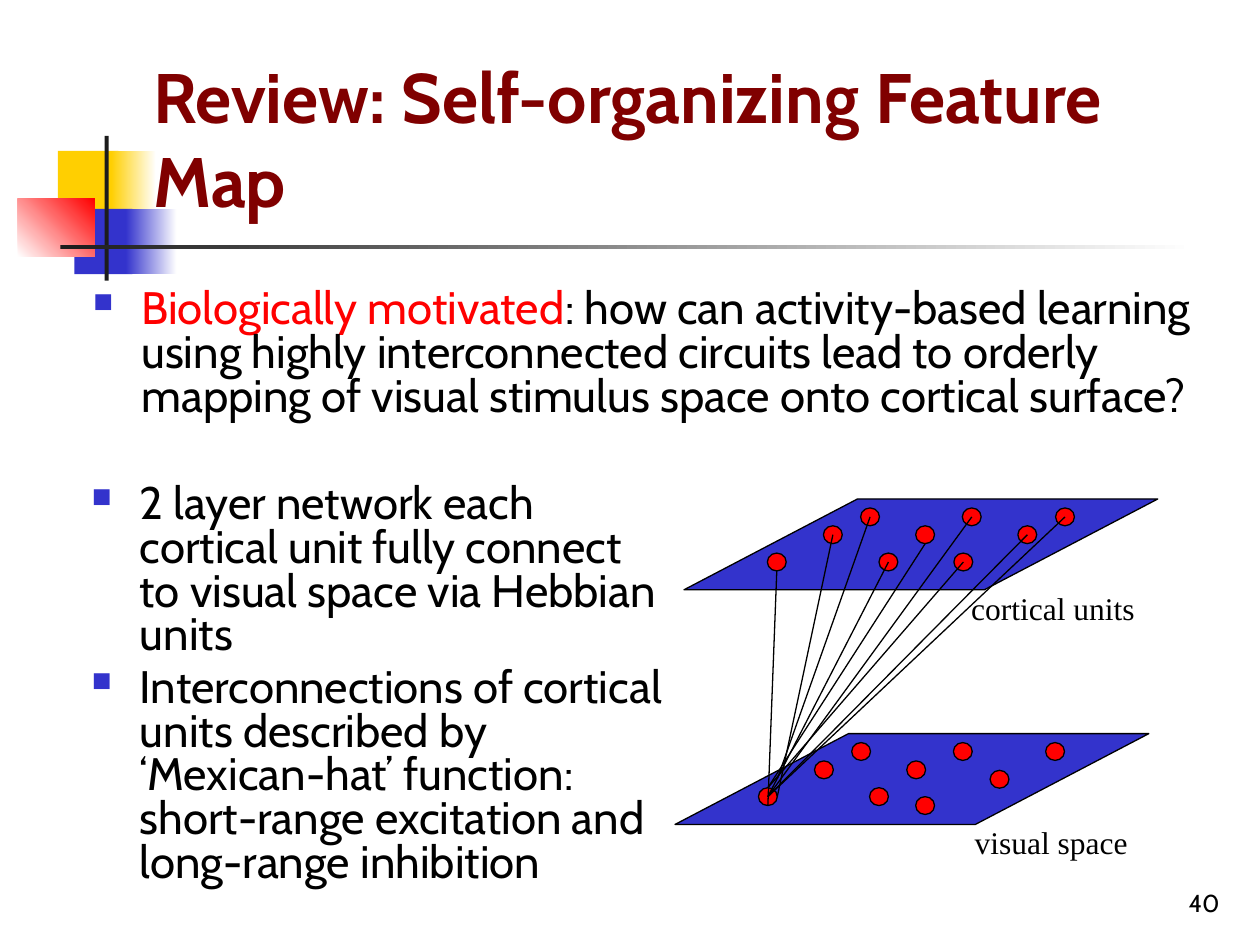
from lxml import etree
from pptx import Presentation
from pptx.dml.color import RGBColor
from pptx.enum.shapes import MSO_CONNECTOR, MSO_SHAPE
from pptx.enum.text import MSO_ANCHOR, PP_ALIGN
from pptx.oxml.ns import qn
from pptx.util import Cm, Pt

RECT, OVAL, PLANE = MSO_SHAPE.RECTANGLE, MSO_SHAPE.OVAL, MSO_SHAPE.PARALLELOGRAM
STRAIGHT = MSO_CONNECTOR.STRAIGHT
TOP, BOTTOM = MSO_ANCHOR.TOP, MSO_ANCHOR.BOTTOM
LEFT, RIGHT = PP_ALIGN.LEFT, PP_ALIGN.RIGHT
BLACK, WHITE, BLUE, RED = "000000", "FFFFFF", "3333CC", "FF0000"
YELLOW, DARK, MAROON = "FFCF01", "1C1C1C", "800000"
SANS, SERIF = "Cabin", "Times New Roman"
PLANE_W, PLANE_H = 9.55, 1.83
DOT_W, DOT_H = 0.38, 0.36
CORTICAL_DOTS = [(3.56, 0.18), (5.61, 0.18), (7.49, 0.18),
                 (2.81, 0.54), (4.67, 0.54), (6.73, 0.54),
                 (1.68, 1.09), (3.93, 1.09), (5.44, 1.09)]
VISUAL_DOTS = [(3.56, 0.18), (5.61, 0.18), (7.47, 0.18),
               (2.81, 0.55), (4.67, 0.55), (6.35, 0.74),
               (1.68, 1.09), (3.92, 1.09), (4.85, 1.27)]
SOURCE_DOT = 6
LINK_SHIFTS = [(0, 0.19, -0.36), (0, 0, 0), (0, 0, 0),
               (0, 0.19, 0), (0.18, 0, -0.18), (0, 0, 0),
               (0.18, 0, 0.18), (0, 0, 0), (0, 0, -0.18)]


def rgb(value):
    """Return the colour for a hex string."""
    return RGBColor.from_string(value)


def add_shape(shapes, kind, x, y, w, h, colours, angle=0, outline=None):
    """Add a shape with a solid fill, or a gradient when given two colours."""
    sp = shapes.add_shape(kind, Cm(x), Cm(y), Cm(w), Cm(h))
    sp.shadow.inherit = False
    if len(colours) == 1:
        sp.fill.solid()
        sp.fill.fore_color.rgb = rgb(colours[0])
    else:
        sp.fill.gradient()
        sp.fill.gradient_angle = angle
        for position, (stop, colour) in enumerate(zip(sp.fill.gradient_stops, colours)):
            stop.position = position
            stop.color.rgb = rgb(colour)
    if outline:
        sp.line.color.rgb = rgb(outline)
        sp.line.width = Pt(0.75)
    else:
        sp.line.fill.background()
    return sp


def add_run(p, text, size, colour, font=SANS, bold=False):
    """Append a formatted run to a paragraph."""
    r = p.add_run()
    r.text = text
    r.font.size, r.font.name, r.font.bold = Pt(size), font, bold
    r.font.color.rgb = rgb(colour)


def add_frame(s, x, y, w, h, anchor=TOP, wrap=True):
    """Add a text box and return its text frame."""
    tf = s.shapes.add_textbox(Cm(x), Cm(y), Cm(w), Cm(h)).text_frame
    tf.word_wrap = wrap
    tf.vertical_anchor = anchor
    return tf


def add_label(s, x, y, w, h, text, size, colour, font=SANS, bold=False,
              anchor=TOP, align=LEFT, wrap=True):
    """Add a text box holding one run."""
    p = add_frame(s, x, y, w, h, anchor, wrap).paragraphs[0]
    p.alignment = align
    add_run(p, text, size, colour, font, bold)


def set_bullet(p):
    """Give a paragraph a hanging square bullet."""
    pPr = p._p.get_or_add_pPr()
    pPr.set("marL", str(Cm(0.97)))
    pPr.set("indent", str(-Cm(0.97)))
    colour = etree.SubElement(pPr, qn("a:buClr"))
    etree.SubElement(colour, qn("a:srgbClr"), val=BLUE)
    etree.SubElement(pPr, qn("a:buSzPct"), val="60000")
    etree.SubElement(pPr, qn("a:buChar"), char="■")


def add_bullets(s, x, y, w, h, items):
    """Add a bulleted list whose items are lists of (text, colour) runs."""
    tf = add_frame(s, x, y, w, h)
    for i, runs in enumerate(items):
        p = tf.add_paragraph() if i else tf.paragraphs[0]
        set_bullet(p)
        p.line_spacing = 0.8
        p.space_before = Pt(5.2 if i else 0)
        for text, colour in runs:
            add_run(p, text, 26, colour)


def add_ornament(s, x, y):
    """Add the coloured squares and crossing rules beside the title."""
    for dx, dy, w, h, colours, angle in [
        (0.81, 0.3, 1.22, 1.32, [YELLOW], 0),
        (1.88, 0.3, 0.91, 1.32, [YELLOW, WHITE], 0),
        (1.14, 1.47, 1.17, 1.32, [BLUE], 0),
        (2.18, 1.47, 1.02, 1.32, [BLUE, WHITE], 0),
        (0, 1.27, 1.55, 1.17, [WHITE, RED], 45),
        (1.75, 0, 0.08, 2.92, [DARK], 0),
        (0.86, 2.2, 22.86, 0.09, [DARK, WHITE], 0),
    ]:
        add_shape(s.shapes, RECT, x + dx, y + dy, w, h, colours, angle)


def add_layer(shapes, x, y, dots):
    """Add a slanted plane with its units and return the unit centres."""
    plane = add_shape(shapes, PLANE, x, y, PLANE_W, PLANE_H, [BLUE], outline=BLACK)
    plane.adjustments[0] = 1.91
    for dx, dy in dots:
        add_shape(shapes, OVAL, x + dx, y + dy, DOT_W, DOT_H, [RED], outline=BLACK)
    return [(x + dx + DOT_W / 2, y + dy + DOT_H / 2) for dx, dy in dots]


def add_link(shapes, x1, y1, x2, y2):
    """Add a thin black line between two points."""
    c = shapes.add_connector(STRAIGHT, Cm(x1), Cm(y1), Cm(x2), Cm(y2))
    c.line.color.rgb = rgb(BLACK)
    c.line.width = Pt(0.75)
    etree.SubElement(c._element.spPr, qn("a:effectLst"))


def add_network(s, x, y):
    """Add the two layers, their labels and the links from one visual unit."""
    add_label(s, x + 5.79, y + 6.4, 4.62, 1.27, "visual space", 18, BLACK, SERIF, wrap=False)
    add_label(s, x + 5.72, y + 1.68, 4.9, 1.27, "cortical units", 18, BLACK, SERIF, wrap=False)
    shapes = s.shapes.add_group_shape().shapes
    cortical = add_layer(shapes, x + 0.18, y, CORTICAL_DOTS)
    end_x, end_y = add_layer(shapes, x, y + 4.73, VISUAL_DOTS)[SOURCE_DOT]
    for (cx, cy), (drop, dx, dy) in zip(cortical, LINK_SHIFTS):
        add_link(shapes, cx, cy + drop, end_x + dx, end_y + dy)


def main():
    """Build the slide and save it."""
    prs = Presentation()
    prs.slide_width, prs.slide_height = Cm(25.4), Cm(19.05)
    s = prs.slides.add_slide(prs.slide_layouts[6])
    add_ornament(s, 0.36, 2.74)
    add_label(s, 2.84, 0.53, 21.64, 4.06, "Review: Self-organizing Feature Map",
              40, MAROON, bold=True, anchor=BOTTOM)
    add_label(s, 19.56, 17.35, 5.28, 1.27, "40", 14, BLACK, anchor=BOTTOM, align=RIGHT)
    add_bullets(s, 1.6, 9.65, 12.01, 8.38, [
        [("2 layer network each cortical unit fully connect to visual space "
          "via Hebbian units", BLACK)],
        [("Interconnections of cortical units described by ‘Mexican-hat’ function: "
          "short-range excitation and long-range inhibition", BLACK)],
    ])
    add_network(s, 13.61, 10.06)
    add_bullets(s, 1.63, 5.72, 23.39, 4.19, [
        [("Biologically motivated", RED),
         (": how can activity-based learning using highly interconnected circuits "
          "lead to orderly mapping of visual stimulus space onto cortical surface?", BLACK)],
    ])
    prs.save("out.pptx")


if __name__ == "__main__":
    main()
